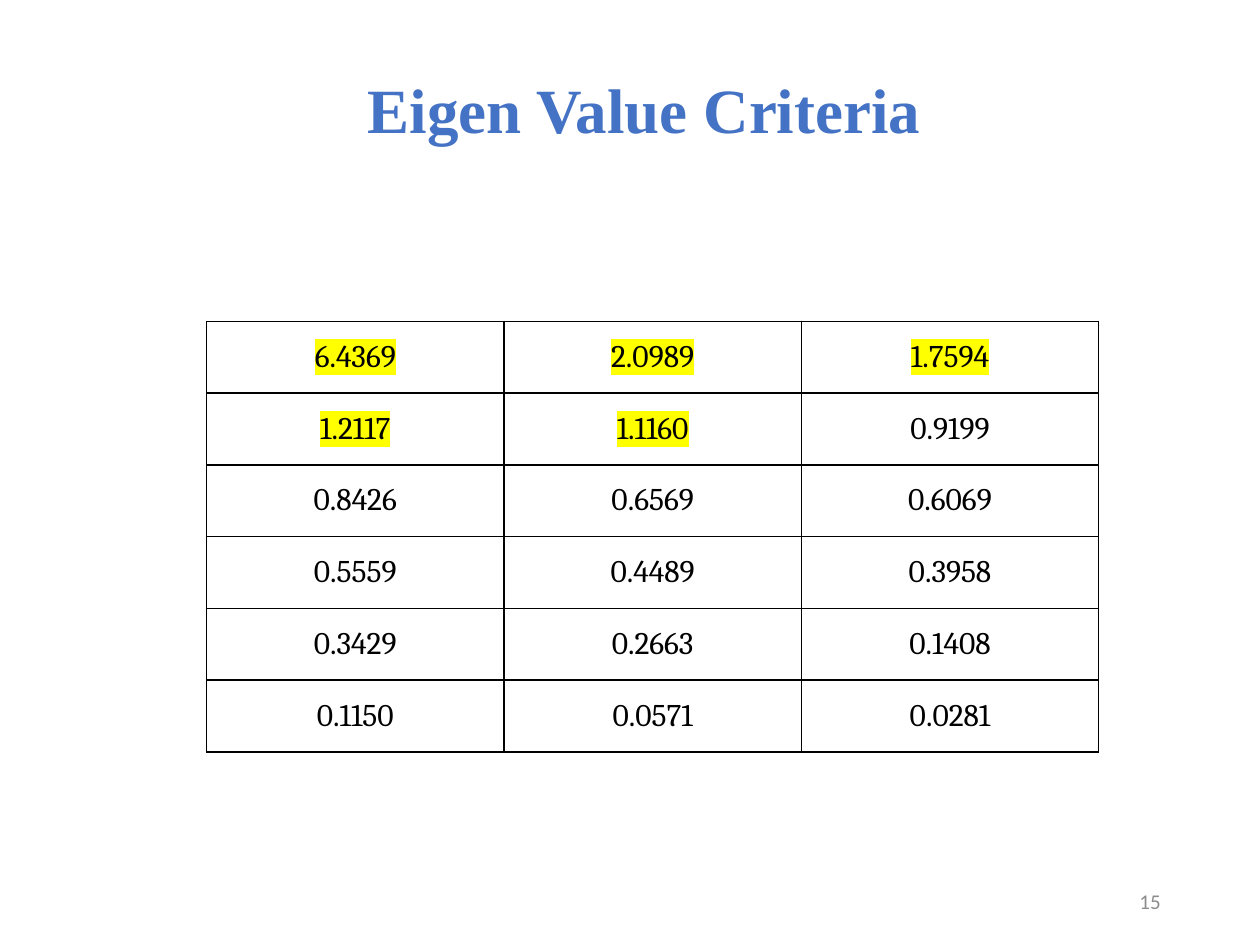
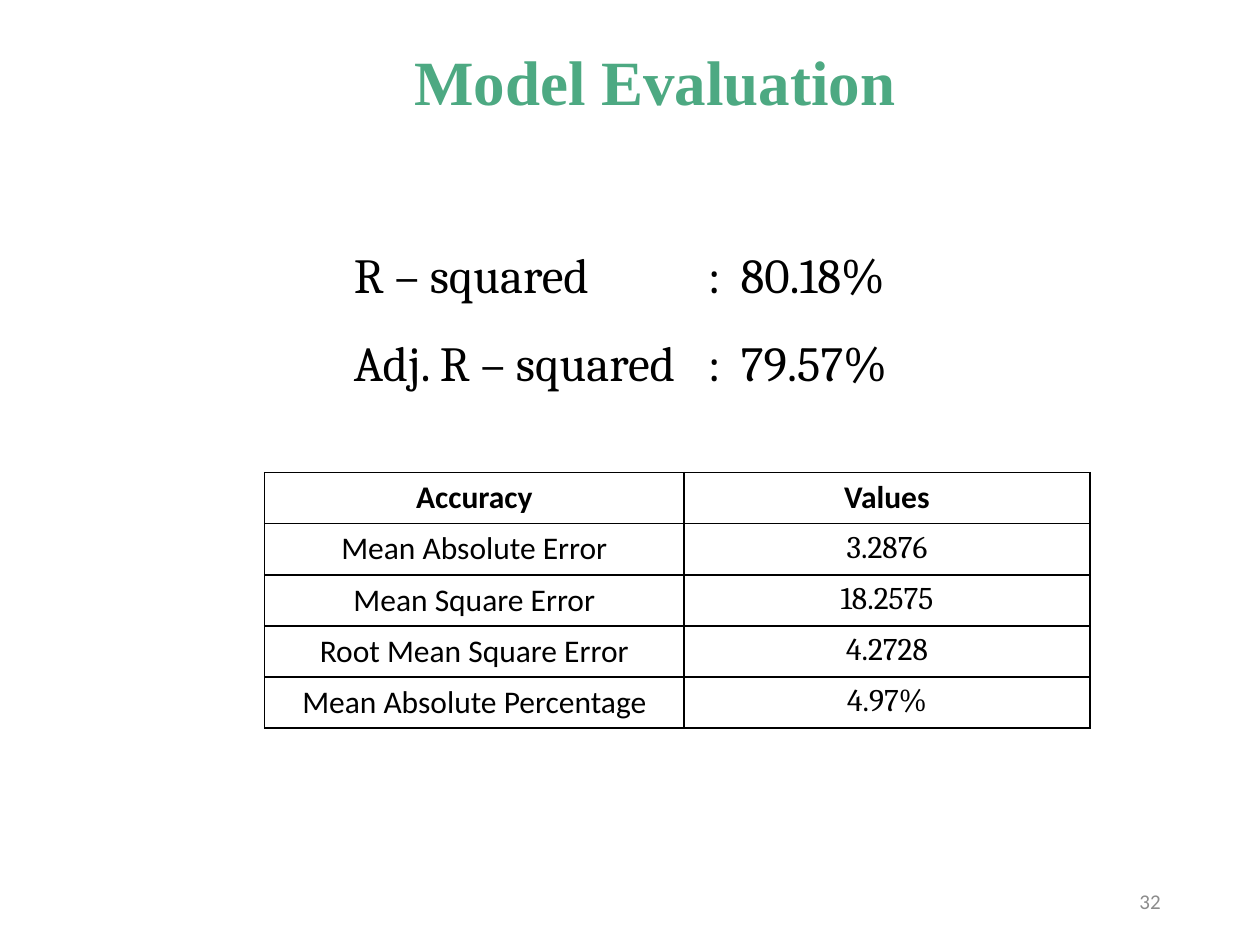
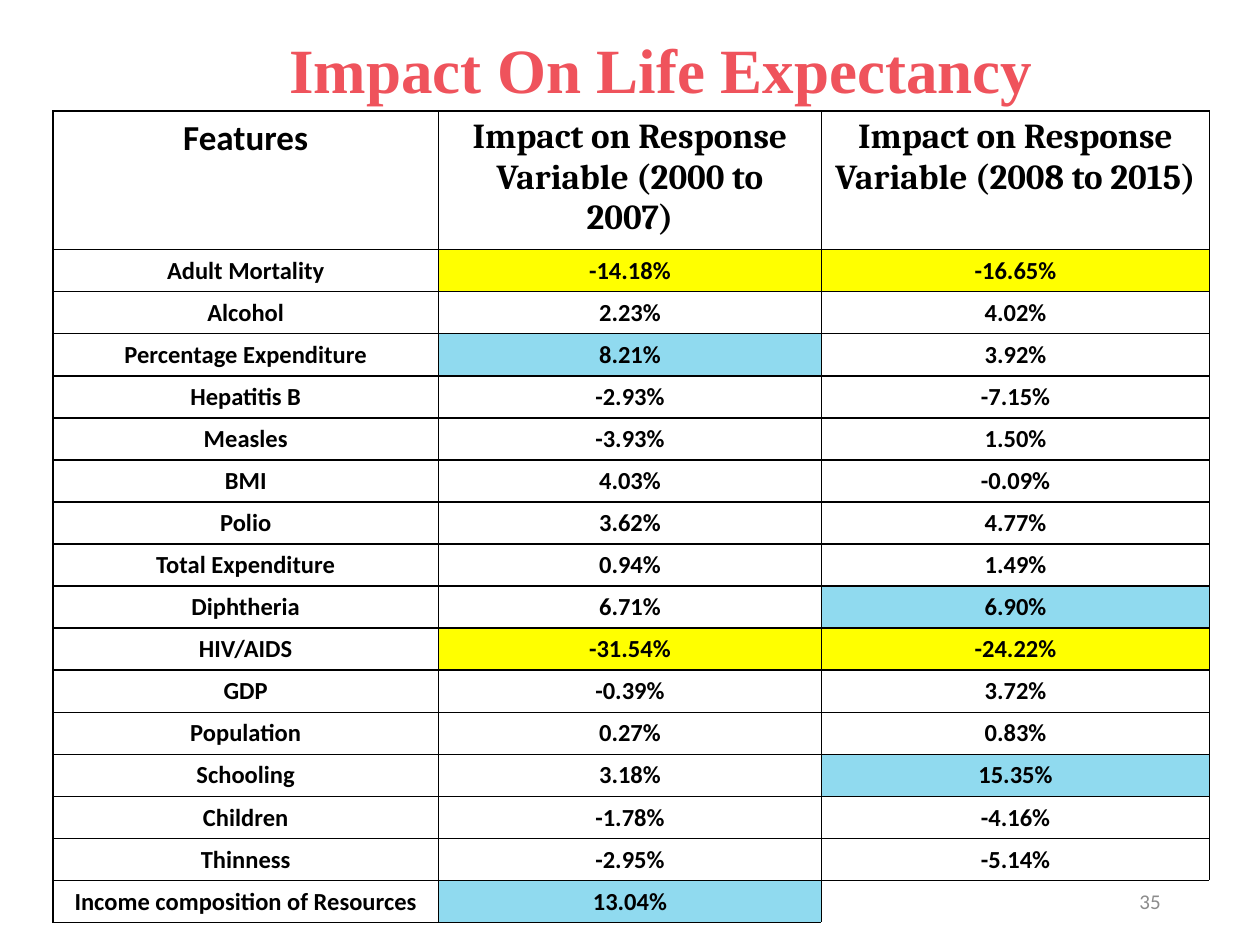
from lxml.etree import SubElement
from pptx import Presentation
from pptx.dml.color import RGBColor
from pptx.enum.text import MSO_ANCHOR, PP_ALIGN
from pptx.oxml.ns import qn
from pptx.util import Inches, Pt

COLORS = {
    "black": "000000", "white": "FFFFFF", "grey": "8C8C8C",
    "blue": "4472C4", "green": "4DA982", "red": "EF535C",
    "yellow": "FFFF00", "sky": "90DAEF",
}
TITLE = {"name": "Times New Roman", "size": Pt(36), "bold": True}
PAGE_NUMBER = {"name": "Calibri", "size": Pt(12)}
SCORE = {"name": "Cambria", "size": Pt(28)}
CAMBRIA = {"name": "Cambria", "size": Pt(18), "bold": False}
CALIBRI = {"name": "Calibri", "size": Pt(18), "bold": False}
FEATURE = {"name": "Calibri", "size": Pt(14), "bold": True}

EIGENVALUES = [
    ["6.4369", "2.0989", "1.7594"],
    ["1.2117", "1.1160", "0.9199"],
    ["0.8426", "0.6569", "0.6069"],
    ["0.5559", "0.4489", "0.3958"],
    ["0.3429", "0.2663", "0.1408"],
    ["0.1150", "0.0571", "0.0281"],
]
ERRORS = [
    ["Accuracy", "Values"],
    ["Mean Absolute Error", "3.2876"],
    ["Mean Square Error", "18.2575"],
    ["Root Mean Square Error", "4.2728"],
    ["Mean Absolute Percentage", "4.97%"],
]
IMPACTS = [
    ["Features", "Impact on Response Variable (2000 to 2007)",
     "Impact on Response Variable (2008 to 2015)"],
    ["Adult Mortality", "-14.18%", "-16.65%"],
    ["Alcohol", "2.23%", "4.02%"],
    ["Percentage Expenditure", "8.21%", "3.92%"],
    ["Hepatitis B", "-2.93%", "-7.15%"],
    ["Measles", "-3.93%", "1.50%"],
    ["BMI", "4.03%", "-0.09%"],
    ["Polio", "3.62%", "4.77%"],
    ["Total Expenditure", "0.94%", "1.49%"],
    ["Diphtheria", "6.71%", "6.90%"],
    ["HIV/AIDS", "-31.54%", "-24.22%"],
    ["GDP", "-0.39%", "3.72%"],
    ["Population", "0.27%", "0.83%"],
    ["Schooling", "3.18%", "15.35%"],
    ["Children", "-1.78%", "-4.16%"],
    ["Thinness", "-2.95%", "-5.14%"],
    ["Income composition of Resources", "13.04%", ""],
]


def rgb(color):
    return RGBColor.from_string(COLORS[color])


def write(p, text, font, color="black", align=PP_ALIGN.LEFT, **spacing):
    p.alignment = align
    for name, value in spacing.items():
        setattr(p, name, value)
    r = p.add_run()
    r.text = text
    for name, value in font.items():
        setattr(r.font, name, value)
    r.font.color.rgb = rgb(color)
    return r


def add_text_frame(s, box, anchor=MSO_ANCHOR.TOP):
    tf = s.shapes.add_textbox(*map(Inches, box)).text_frame
    tf.word_wrap = True
    tf.vertical_anchor = anchor
    return tf


def add_title(s, box, text, color, **spacing):
    write(add_text_frame(s, box).paragraphs[0], text, TITLE, color, **spacing)


def add_page_number(s, number):
    tf = add_text_frame(s, (7.06, 6.95, 2.25, 0.4), MSO_ANCHOR.MIDDLE)
    write(tf.paragraphs[0], str(number), PAGE_NUMBER, "grey", PP_ALIGN.RIGHT)


def highlight(r, color):
    rPr = r.font._element
    mark = SubElement(rPr, qn("a:highlight"))
    SubElement(mark, qn("a:srgbClr"), val=COLORS[color])
    rPr.find(qn("a:solidFill")).addnext(mark)


def set_borders(cell, sides):
    tcPr = cell._tc.get_or_add_tcPr()
    for i, side in enumerate(sides):
        ln = SubElement(tcPr, qn(f"a:ln{side}"), w=str(Pt(1)))
        fill = SubElement(ln, qn("a:solidFill"))
        SubElement(fill, qn("a:srgbClr"), val=COLORS["black"])
        tcPr.insert(i, ln)


def add_grid(s, left, top, widths, heights, rows, font_of, fill_of=None,
             anchor=MSO_ANCHOR.TOP):
    """Add a ruled table; font_of and fill_of take a row and a column number."""
    box = map(Inches, (left, top, sum(widths), sum(heights)))
    table = s.shapes.add_table(len(rows), len(widths), *box).table
    table.first_row = table.horz_banding = False
    for column, width in zip(table.columns, widths):
        column.width = Inches(width)
    for row, height in zip(table.rows, heights):
        row.height = Inches(height)
    for i, row in enumerate(rows):
        for j, text in enumerate(row):
            cell = table.cell(i, j)
            cell.vertical_anchor = anchor
            cell.fill.solid()
            cell.fill.fore_color.rgb = rgb(fill_of(i, j) if fill_of else "white")
            set_borders(cell, "LRTB" if text else "LT")
            p = cell.text_frame.paragraphs[0]
            if text:
                write(p, text, font_of(i, j), align=PP_ALIGN.CENTER)
            else:
                size = font_of(i, j)["size"].centipoints
                SubElement(p._p, qn("a:endParaRPr"), sz=str(size))
    return table


def add_scores(s, box, scores, stops):
    """Write label, colon and value on tab stops given from the text edge."""
    tf = add_text_frame(s, box)
    for i, (label, value) in enumerate(scores):
        p = tf.add_paragraph() if i else tf.paragraphs[0]
        write(p, f"{label}\t:\t{value}", SCORE, line_spacing=1.5)
        tabs = SubElement(p._p.get_or_add_pPr(), qn("a:tabLst"))
        for stop in stops:
            SubElement(tabs, qn("a:tab"), pos=str(Inches(stop)), algn="l")


def eigenvalue_slide(s):
    table = add_grid(s, 1.64, 2.55, [2.36] * 3, [0.57] * 6, EIGENVALUES,
                     lambda i, j: CAMBRIA, anchor=MSO_ANCHOR.MIDDLE)
    for cell in table.iter_cells():
        if float(cell.text) > 1:
            highlight(cell.text_frame.paragraphs[0].runs[0], "yellow")
    add_title(s, (2.82, 0.47, 4.72, 0.7), "Eigen Value Criteria", "blue",
              line_spacing=1.07, space_after=Pt(8))


def evaluation_slide(s):
    def font_of(i, j):
        if i == 0:
            return {**CALIBRI, "bold": True}
        return CAMBRIA if j else CALIBRI

    add_title(s, (3.19, 0.29, 4.38, 0.71), "Model Evaluation", "green")
    add_grid(s, 2.1, 3.75, [3.33, 3.22], [0.406] * 5, ERRORS, font_of)
    add_scores(s, (2.71, 1.66, 4.86, 1.43),
               [("R – squared", "80.18%"), ("Adj. R – squared", "79.57%")],
               (2.81, 3.07))


def impact_slide(s):
    def percents(j):
        return sorted(float(row[j].rstrip("%")) for row in IMPACTS[1:] if row[j])

    ranked = {j: percents(j) for j in (1, 2)}

    def fill_of(i, j):
        """Mark the two lowest and the two highest impacts of each period."""
        text = IMPACTS[i][j]
        if i == 0 or j == 0 or not text:
            return "white"
        value = float(text.rstrip("%"))
        if value in ranked[j][:2]:
            return "yellow"
        return "sky" if value in ranked[j][-2:] else "white"

    def font_of(i, j):
        if i:
            return FEATURE
        return {**(CAMBRIA if j else CALIBRI), "size": Pt(20), "bold": True}

    add_title(s, (1.25, 0.19, 7.99, 0.71), "Impact On Life Expectancy", "red",
              align=PP_ALIGN.CENTER)
    heights = [1.1] + [5.33 / 16] * 16
    add_grid(s, 0.42, 0.88, [3.06, 3.04, 3.08], heights, IMPACTS, font_of, fill_of)


def main():
    prs = Presentation()
    prs.slide_width, prs.slide_height = Inches(10), Inches(7.5)
    pages = [(15, eigenvalue_slide), (32, evaluation_slide), (35, impact_slide)]
    for number, build in pages:
        s = prs.slides.add_slide(prs.slide_layouts[6])
        build(s)
        add_page_number(s, number)
    prs.save("out.pptx")


if __name__ == "__main__":
    main()
